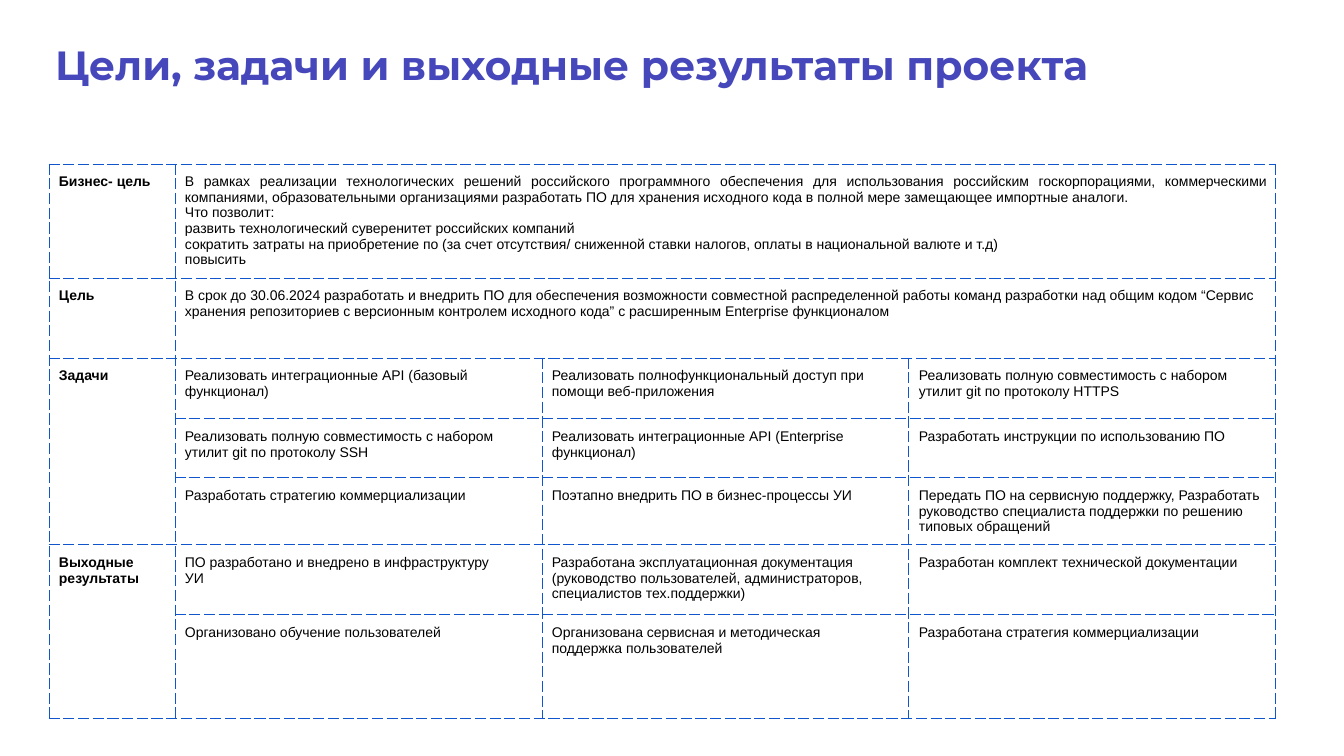
from dataclasses import dataclass

from lxml import etree
from pptx import Presentation
from pptx import util as u
from pptx.dml.color import RGBColor
from pptx.enum import text
from pptx.oxml import ns

EMU_PER_PX = 914400 / 100.8


@dataclass(frozen=True)
class Theme:
    title_font: str = "Montserrat"
    body_font: str = "Arial"
    title_size: float = 29.1
    body_size: float = 10
    title_color: str = "4547BB"
    body_color: str = "000000"
    border_color: str = "1155CC"
    border_width: float = 0.75


@dataclass(frozen=True)
class Line:
    height: int
    entries: tuple[str, ...]
    justified: bool = False


@dataclass(frozen=True)
class Section:
    label: str
    lines: tuple[Line, ...]


THEME = Theme()
LEFT, TOP = 49, 164
LABEL_WIDTH, ENTRY_WIDTH, ENTRY_COUNT = 126, 367, 3
CELL_INSET = 10

SECTIONS = (
    Section("Бизнес- цель", (
        Line(114, (
            "В рамках реализации технологических решений российского программного обеспечения "
            "для использования российским госкорпорациями, коммерческими компаниями, "
            "образовательными организациями разработать ПО для хранения исходного кода "
            "в полной мере замещающее импортные аналоги.\n"
            "Что позволит:\n"
            "развить технологический суверенитет российских компаний\n"
            "сократить затраты на приобретение по (за счет отсутствия/ сниженной ставки "
            "налогов, оплаты в национальной валюте и т.д)\n"
            "повысить",
        ), justified=True),
    )),
    Section("Цель", (
        Line(80, (
            "В срок до 30.06.2024 разработать и внедрить ПО для обеспечения возможности "
            "совместной распределенной работы команд разработки над общим кодом “Сервис "
            "хранения репозиториев с версионным контролем исходного кода” с расширенным "
            "Enterprise функционалом",
        )),
    )),
    Section("Задачи", (
        Line(61, (
            "Реализовать интеграционные API (базовый функционал)",
            "Реализовать полнофункциональный доступ при помощи веб-приложения",
            "Реализовать полную совместимость с набором утилит git по протоколу HTTPS",
        )),
        Line(59, (
            "Реализовать полную совместимость с набором утилит git по протоколу SSH",
            "Реализовать интеграционные API (Enterprise функционал)",
            "Разработать инструкции по использованию ПО",
        )),
        Line(67, (
            "Разработать стратегию коммерциализации",
            "Поэтапно внедрить ПО в бизнес-процессы УИ",
            "Передать ПО на сервисную поддержку, Разработать руководство специалиста "
            "поддержки по решению типовых обращений",
        )),
    )),
    Section("Выходные результаты", (
        Line(70, (
            "ПО разработано и внедрено в инфраструктуру\nУИ",
            "Разработана эксплуатационная документация (руководство пользователей, "
            "администраторов, специалистов тех.поддержки)",
            "Разработан комплект технической документации",
        )),
        Line(104, (
            "Организовано обучение пользователей",
            "Организована сервисная и методическая\nподдержка пользователей",
            "Разработана стратегия коммерциализации",
        )),
    )),
)


def px(length: int) -> u.Emu:
    return u.Emu(round(length * EMU_PER_PX))


def set_font(paragraph, name: str, size: float, color: str, bold: bool) -> None:
    font = paragraph.font
    font.name = name
    font.size = u.Pt(size)
    font.bold = bold
    font.color.rgb = RGBColor.from_string(color)


def add_title(slide, wording: str) -> None:
    title = slide.shapes.title
    title.left, title.top, title.width, title.height = px(55), px(39), px(1221), px(50)
    frame = title.text_frame
    frame.text = wording
    frame.word_wrap = True
    frame.auto_size = text.MSO_AUTO_SIZE.NONE
    frame.vertical_anchor = text.MSO_ANCHOR.TOP
    frame.margin_left = frame.margin_right = frame.margin_bottom = 0
    frame.margin_top = px(1)
    heading = frame.paragraphs[0]
    heading.alignment = text.PP_ALIGN.LEFT
    set_font(heading, THEME.title_font, THEME.title_size, THEME.title_color, True)


def style_cell(cell) -> None:
    cell.fill.background()
    cell.margin_left = cell.margin_right = px(CELL_INSET)
    cell.margin_top = cell.margin_bottom = px(CELL_INSET)
    cell.vertical_anchor = text.MSO_ANCHOR.TOP
    properties = cell._tc.get_or_add_tcPr()
    for index, side in enumerate(("lnL", "lnR", "lnT", "lnB")):
        border = etree.Element(ns.qn(f"a:{side}"), w=str(u.Pt(THEME.border_width)))
        fill = etree.SubElement(border, ns.qn("a:solidFill"))
        etree.SubElement(fill, ns.qn("a:srgbClr"), val=THEME.border_color)
        etree.SubElement(border, ns.qn("a:prstDash"), val="lgDash")
        properties.insert(index, border)


def write_cell(cell, wording: str, bold: bool = False, justified: bool = False) -> None:
    cell.text = wording
    for paragraph in cell.text_frame.paragraphs:
        paragraph.alignment = text.PP_ALIGN.JUSTIFY if justified else text.PP_ALIGN.LEFT
        set_font(paragraph, THEME.body_font, THEME.body_size, THEME.body_color, bold)


def add_goals_table(slide, sections: tuple[Section, ...]) -> None:
    heights = [line.height for section in sections for line in section.lines]
    widths = [LABEL_WIDTH] + [ENTRY_WIDTH] * ENTRY_COUNT
    goals = slide.shapes.add_table(
        len(heights), len(widths), px(LEFT), px(TOP), px(sum(widths)), px(sum(heights))
    ).table
    goals.first_row = goals.horz_banding = False
    for column, width in zip(goals.columns, widths):
        column.width = px(width)
    for row, height in zip(goals.rows, heights):
        row.height = px(height)
    for cell in goals.iter_cells():
        style_cell(cell)
        write_cell(cell, "")

    first = 0
    for section in sections:
        last = first + len(section.lines) - 1
        if last > first:
            goals.cell(first, 0).merge(goals.cell(last, 0))
        write_cell(goals.cell(first, 0), section.label, bold=True)
        for row, line in enumerate(section.lines, first):
            if len(line.entries) == 1:
                goals.cell(row, 1).merge(goals.cell(row, ENTRY_COUNT))
            for column, entry in enumerate(line.entries, 1):
                write_cell(goals.cell(row, column), entry, justified=line.justified)
        first = last + 1


def main() -> None:
    presentation = Presentation()
    presentation.slide_width = px(1344)
    presentation.slide_height = px(756)
    slide = presentation.slides.add_slide(presentation.slide_layouts[5])
    add_title(slide, "Цели, задачи и выходные результаты проекта")
    add_goals_table(slide, SECTIONS)
    presentation.save("out.pptx")


if __name__ == "__main__":
    main()
